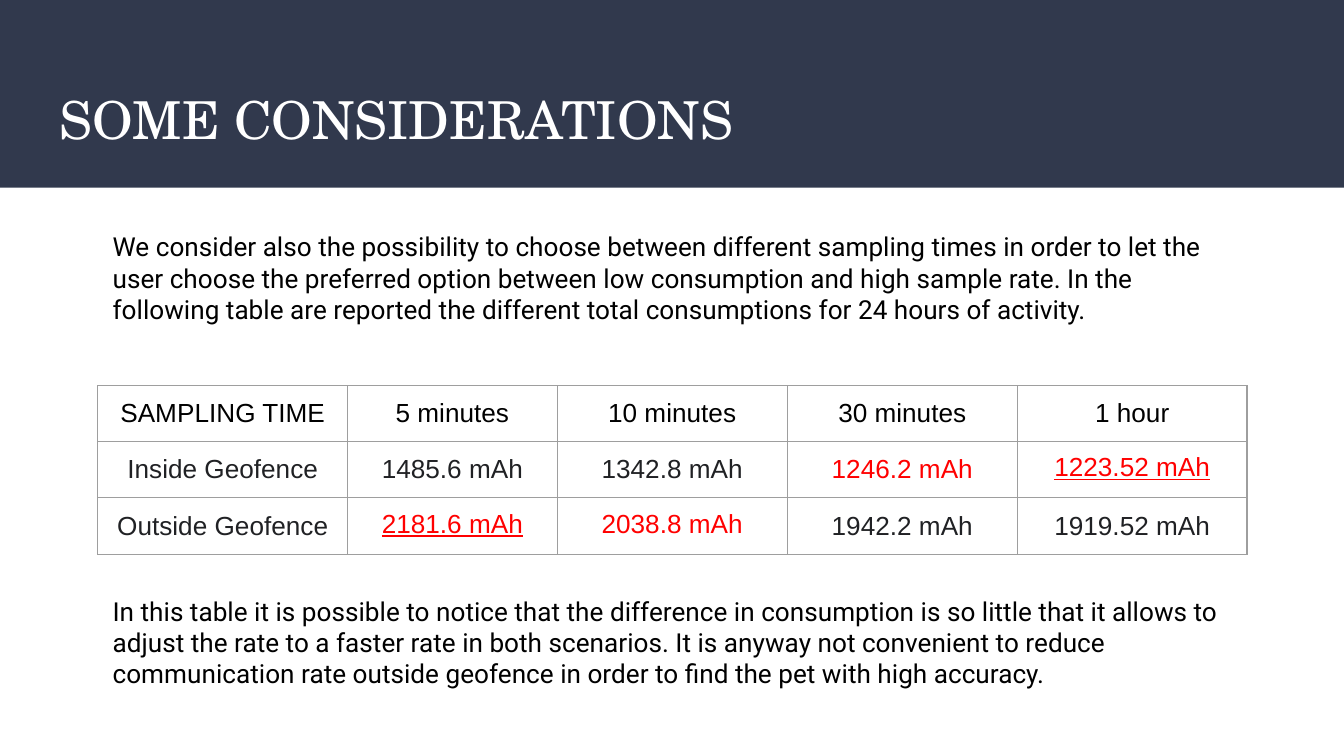
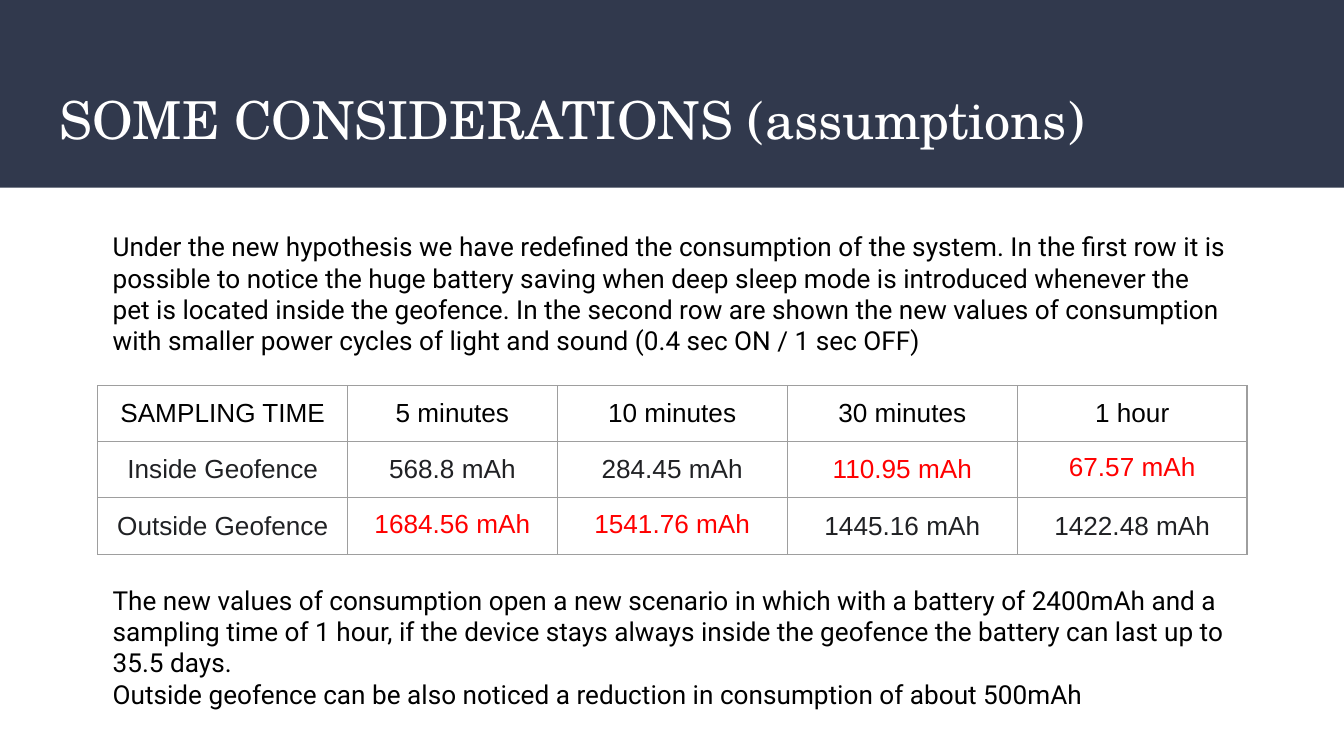
from dataclasses import dataclass

from lxml import etree
from pptx import Presentation
from pptx import util as u
from pptx.dml.color import RGBColor
from pptx.enum import shapes, text
from pptx.oxml import ns


@dataclass(frozen=True)
class Theme:
    """Colours, fonts and type sizes of the deck."""
    band: str = "31394D"
    title: str = "FFFFFF"
    ink: str = "000000"
    value: str = "202124"
    alert: str = "FF0000"
    rule: str = "9E9E9E"
    title_font: str = "TeX Gyre Schola"
    body_font: str = "Roboto"
    table_font: str = "Arial"
    title_size: int = 28
    body_size: int = 14
    rule_width: float = 0.75


T = Theme()
WIDTH, HEIGHT = 25.4, 14.29
TITLE_BOX = (0.87, 1.4, 23.67, 1.73)
INTRO_BOX = (1.88, 4.11, 21.64, 2.9)
TABLE_BOX = (1.85, 7.29, 21.72, 3.18)
COLUMNS = (4.72, 3.96, 4.35, 4.35, 4.34)
ROWS = (1.05, 1.05, 1.08)
HEADER = ("SAMPLING TIME", "5 minutes", "10 minutes", "30 minutes", "1 hour")
TIGHT = {(1, 4), (2, 1), (2, 2)}
ALERTS = TIGHT | {(1, 3)}

SLIDES = (
    dict(
        title="SOME CONSIDERATIONS",
        intro=("We consider also the possibility to choose between different sampling times in order "
               "to let the user choose the preferred option between low consumption and high sample "
               "rate. In the following table are reported the different total consumptions for 24 "
               "hours of activity.",),
        inside=("1485.6", "1342.8", "1246.2", "1223.52"),
        outside=("2181.6", "2038.8", "1942.2", "1919.52"),
        underlined={(1, 4), (2, 1)},
        remarks=("In this table it is possible to notice that the difference in consumption is so "
                 "little that it allows to adjust the rate to a faster rate in both scenarios. It is "
                 "anyway not convenient to reduce communication rate outside geofence in order to "
                 "find the pet with high accuracy.",),
        remarks_top=11.0,
    ),
    dict(
        title="SOME CONSIDERATIONS (assumptions)",
        intro=("Under the new hypothesis we have redefined the consumption of the system. In the "
               "first row it is possible to notice the huge battery saving when deep sleep mode is "
               "introduced whenever the pet is located inside the geofence. In the second row are "
               "shown the new values of consumption with smaller power cycles of light and sound "
               "(0.4 sec ON / 1 sec OFF)",),
        inside=("568.8", "284.45", "110.95", "67.57"),
        outside=("1684.56", "1541.76", "1445.16", "1422.48"),
        underlined=set(),
        remarks=("The new values of consumption open a new scenario in which with a battery of "
                 "2400mAh and a sampling time of 1 hour, if the device stays always inside the "
                 "geofence the battery can last up to 35.5 days.",
                 "Outside geofence can be also noticed a reduction in consumption of about 500mAh"),
        remarks_top=10.79,
    ),
)


def cm(box):
    """Turn a box in centimetres into lengths."""
    return [u.Cm(v) for v in box]


def add_run(p, words, font, size, color, underline=None):
    """Add one formatted run to a paragraph."""
    r = p.add_run()
    r.text = words
    r.font.name, r.font.size = font, u.Pt(size)
    r.font.color.rgb = RGBColor.from_string(color)
    r.font.underline = underline


def set_margins(tf):
    """Give a text frame or cell equal margins."""
    tf.margin_left = tf.margin_right = tf.margin_top = tf.margin_bottom = u.Cm(0.25)


def set_up_layout(layout, s):
    """Place the shared band and title position on the layout."""
    sp = s.shapes.add_shape(shapes.MSO_SHAPE.RECTANGLE, *cm((0, 0, WIDTH, 3.55)))
    sp.shadow.inherit = False
    sp.fill.solid()
    sp.fill.fore_color.rgb = RGBColor.from_string(T.band)
    sp.line.fill.background()
    sp.element.xpath(".//p:cNvPr")[0].set("id", "20")
    layout.shapes.element.insert(2, sp.element)
    title = layout.placeholders[0]
    title.left, title.top, title.width, title.height = cm(TITLE_BOX)


def fill_title(s, words):
    """Write the slide title in its placeholder."""
    tf = s.shapes.title.text_frame
    set_margins(tf)
    tf.word_wrap = True
    tf.auto_size = text.MSO_AUTO_SIZE.NONE
    tf.vertical_anchor = text.MSO_ANCHOR.TOP
    p = tf.paragraphs[0]
    p.alignment = text.PP_ALIGN.LEFT
    add_run(p, words, T.title_font, T.title_size, T.title)


def add_body(s, box, paragraphs):
    """Add a block of running text in the box."""
    tf = s.shapes.add_textbox(*cm(box)).text_frame
    set_margins(tf)
    tf.word_wrap = True
    tf.auto_size = text.MSO_AUTO_SIZE.SHAPE_TO_FIT_TEXT
    for i, words in enumerate(paragraphs):
        p = tf.add_paragraph() if i else tf.paragraphs[0]
        add_run(p, words, T.body_font, T.body_size, T.ink)


def style_cell(cell):
    """Give a cell thin borders, no fill and centred content."""
    tcPr = cell._tc.get_or_add_tcPr()
    for side in ("a:lnL", "a:lnR", "a:lnT", "a:lnB"):
        ln = etree.SubElement(tcPr, ns.qn(side), w=str(u.Pt(T.rule_width)))
        fill = etree.SubElement(ln, ns.qn("a:solidFill"))
        etree.SubElement(fill, ns.qn("a:srgbClr"), val=T.rule)
    cell.fill.background()
    set_margins(cell)
    cell.vertical_anchor = text.MSO_ANCHOR.MIDDLE


def add_consumption_table(s, box, inside, outside, underlined):
    """Add the table of consumption by sampling time."""
    rows = [HEADER]
    for label, values in (("Inside Geofence", inside), ("Outside Geofence", outside)):
        rows.append((label, *(f"{v} mAh" for v in values)))
    table = s.shapes.add_table(len(ROWS), len(COLUMNS), *cm(box)).table
    table.first_row = table.horz_banding = False
    for column, width in zip(table.columns, COLUMNS):
        column.width = u.Cm(width)
    for row, height in zip(table.rows, ROWS):
        row.height = u.Cm(height)
    for i, row in enumerate(rows):
        for j, words in enumerate(row):
            cell = table.cell(i, j)
            style_cell(cell)
            p = cell.text_frame.paragraphs[0]
            p.alignment = text.PP_ALIGN.CENTER
            if (i, j) in TIGHT:
                p.line_spacing = 0.8
            color = T.alert if (i, j) in ALERTS else T.value if i else T.ink
            add_run(p, words, T.table_font, T.body_size, color, (i, j) in underlined or None)


def fill_slide(s, content):
    """Fill one slide with title, intro, table and remarks."""
    fill_title(s, content["title"])
    add_consumption_table(s, TABLE_BOX, content["inside"], content["outside"], content["underlined"])
    left, _, width, height = INTRO_BOX
    add_body(s, (left, content["remarks_top"], width, height), content["remarks"])
    add_body(s, INTRO_BOX, content["intro"])


def main():
    """Build and save the deck."""
    prs = Presentation()
    prs.slide_width, prs.slide_height = u.Cm(WIDTH), u.Cm(HEIGHT)
    layout = prs.slide_layouts[5]
    pages = [prs.slides.add_slide(layout) for _ in SLIDES]
    set_up_layout(layout, pages[0])
    for s, content in zip(pages, SLIDES):
        fill_slide(s, content)
    prs.save("out.pptx")


if __name__ == "__main__":
    main()
